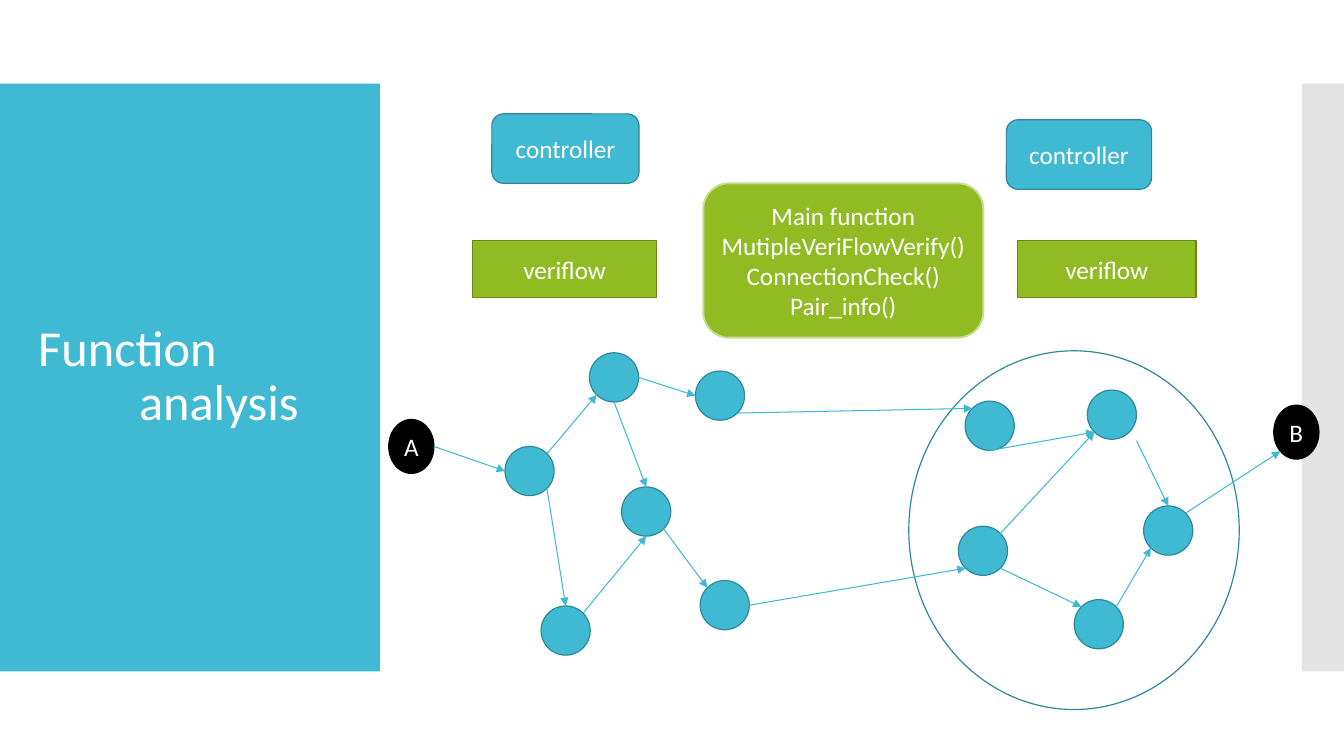
from dataclasses import dataclass
from enum import Enum
from math import sqrt
from typing import Any, Optional

import pptx
import pptx.dml.color
import pptx.enum.shapes
import pptx.enum.text
import pptx.oxml
import pptx.oxml.ns
import pptx.util

Cm = pptx.util.Cm
Pt = pptx.util.Pt
Preset = pptx.enum.shapes.MSO_SHAPE
Align = pptx.enum.text.PP_ALIGN
Anchor = pptx.enum.text.MSO_ANCHOR


@dataclass(frozen=True)
class Theme:
    font: str = "Calibri"
    title_size: float = 36
    label_size: float = 18
    outline: float = 0.85
    main_outline: float = 1.36
    arrow: float = 0.75
    white: str = "FFFFFF"
    black: str = "000000"
    teal: str = "40BAD2"
    dark_teal: str = "2E8899"
    green: str = "90BB23"
    dark_green: str = "698819"
    pale_green: str = "C7DD91"
    grey: str = "E4E4E4"


THEME = Theme()


@dataclass(frozen=True)
class Block:
    """A filled or outlined shape, measured in centimetres."""
    left: float
    top: float
    width: float
    height: float
    preset: Any
    fill: Optional[str] = None
    line: Optional[str] = None
    text: str = ""
    weight: float = THEME.outline


DIAGONAL = sqrt(0.5) / 2


class Site(Enum):
    """Where an arrow meets an ellipse, as fractions of its box."""
    TOP = (0.5, 0)
    TOP_LEFT = (0.5 - DIAGONAL, 0.5 - DIAGONAL)
    LEFT = (0, 0.5)
    BOTTOM_LEFT = (0.5 - DIAGONAL, 0.5 + DIAGONAL)
    BOTTOM = (0.5, 1)
    BOTTOM_RIGHT = (0.5 + DIAGONAL, 0.5 + DIAGONAL)
    RIGHT = (1, 0.5)
    TOP_RIGHT = (0.5 + DIAGONAL, 0.5 - DIAGONAL)
    BOX_CORNER = (1, 1.03)


@dataclass(frozen=True)
class Hop:
    source: str
    leave: Site
    target: str
    enter: Site


def switch(left: float, top: float) -> Block:
    return Block(left, top, 1.24, 1.24, Preset.OVAL, THEME.teal, THEME.dark_teal)


def host(left: float, top: float, name: str) -> Block:
    return Block(left, top, 1.14, 1.36, Preset.OVAL, THEME.black, THEME.black, name)


def controller(left: float, top: float, width: float) -> Block:
    return Block(left, top, width, 1.75, Preset.ROUNDED_RECTANGLE,
                 THEME.teal, THEME.dark_teal, "controller")


def verifier(left: float, width: float) -> Block:
    return Block(left, 6.07, width, 1.42, Preset.RECTANGLE,
                 THEME.green, THEME.dark_green, "veriflow")


PANELS = [
    Block(0, 2.11, 9.58, 14.81, Preset.RECTANGLE, THEME.teal),
    Block(32.82, 2.11, 1.06, 14.81, Preset.RECTANGLE, THEME.grey),
]
MAIN_FUNCTIONS = "Main function\nMutipleVeriFlowVerify()\nConnectionCheck()\nPair_info()"
COMPONENTS = [
    Block(17.73, 4.62, 7.06, 3.89, Preset.ROUNDED_RECTANGLE, THEME.green,
          THEME.pale_green, MAIN_FUNCTIONS, THEME.main_outline),
    controller(12.4, 2.87, 3.71),
    controller(25.37, 3.02, 3.66),
    verifier(11.91, 4.65),
    verifier(25.65, 4.5),
]
SWITCHES = {
    "entry": switch(12.73, 11.25),
    "upper exit": switch(17.53, 9.35),
    "upper": switch(14.86, 8.89),
    "middle": switch(15.67, 12.27),
    "lower exit": switch(17.65, 14.63),
    "lower": switch(13.64, 15.27),
    "domain upper": switch(24.33, 10.11),
    "domain top": switch(27.41, 9.83),
    "domain exit": switch(28.83, 12.75),
    "domain lower": switch(24.16, 13.26),
    "domain bottom": switch(27.08, 15.11),
}
DOMAIN = Block(22.91, 8.84, 8.33, 9.04, Preset.OVAL, line=THEME.dark_teal)
HOSTS = {"A": host(9.8, 10.57, "A"), "B": host(32.11, 10.21, "B")}
HOPS = [
    Hop("upper", Site.RIGHT, "upper exit", Site.LEFT),
    Hop("entry", Site.TOP_RIGHT, "upper", Site.BOTTOM_LEFT),
    Hop("upper exit", Site.BOTTOM_RIGHT, "domain upper", Site.TOP_LEFT),
    Hop("lower", Site.TOP_RIGHT, "middle", Site.BOTTOM),
    Hop("entry", Site.BOTTOM_RIGHT, "lower", Site.TOP),
    Hop("middle", Site.BOTTOM_RIGHT, "lower exit", Site.TOP_LEFT),
    Hop("upper", Site.BOTTOM, "middle", Site.TOP),
    Hop("lower exit", Site.RIGHT, "domain lower", Site.BOTTOM_LEFT),
    Hop("domain upper", Site.BOTTOM, "domain top", Site.BOTTOM_LEFT),
    Hop("domain top", Site.BOX_CORNER, "domain exit", Site.TOP),
    Hop("domain lower", Site.BOTTOM_RIGHT, "domain bottom", Site.TOP_LEFT),
    Hop("domain bottom", Site.TOP_RIGHT, "domain exit", Site.BOTTOM_LEFT),
    Hop("domain lower", Site.TOP_RIGHT, "domain top", Site.BOTTOM_LEFT),
    Hop("A", Site.RIGHT, "entry", Site.LEFT),
    Hop("domain exit", Site.TOP_RIGHT, "B", Site.BOTTOM_LEFT),
]


def rgb(colour: str) -> pptx.dml.color.RGBColor:
    return pptx.dml.color.RGBColor.from_string(colour)


def assign(target: Any, values: dict[str, Any]) -> None:
    for name, value in values.items():
        setattr(target, name, value)


def style_text(paragraph: Any, size: float, align: Any) -> None:
    paragraph.alignment = align
    assign(paragraph.font, {"name": THEME.font, "size": Pt(size)})
    paragraph.font.color.rgb = rgb(THEME.white)


def draw_block(slide: Any, block: Block) -> Any:
    shape = slide.shapes.add_shape(block.preset, Cm(block.left), Cm(block.top),
                                   Cm(block.width), Cm(block.height))
    shape.shadow.inherit = False
    for paint, colour in ((shape.fill, block.fill), (shape.line.fill, block.line)):
        if colour:
            paint.solid()
            paint.fore_color.rgb = rgb(colour)
        else:
            paint.background()
    if block.line:
        shape.line.width = Pt(block.weight)
    if block.text:
        frame = shape.text_frame
        assign(frame, {"text": block.text, "word_wrap": False,
                       "vertical_anchor": Anchor.MIDDLE})
        for paragraph in frame.paragraphs:
            style_text(paragraph, THEME.label_size, Align.CENTER)
    return shape


def site_point(block: Block, site: Site) -> tuple[int, int]:
    across, down = site.value
    return Cm(block.left + across * block.width), Cm(block.top + down * block.height)


def draw_hop(slide: Any, hop: Hop) -> None:
    nodes = SWITCHES | HOSTS
    arrow = slide.shapes.add_connector(
        pptx.enum.shapes.MSO_CONNECTOR.STRAIGHT,
        *site_point(nodes[hop.source], hop.leave),
        *site_point(nodes[hop.target], hop.enter))
    arrow.line.color.rgb = rgb(THEME.teal)
    arrow.line.width = Pt(THEME.arrow)
    namespace = pptx.oxml.ns.nsdecls("a")
    arrow.line._get_or_add_ln().append(
        pptx.oxml.parse_xml(f'<a:tailEnd {namespace} type="triangle"/>'))
    arrow._element.spPr.append(pptx.oxml.parse_xml(f"<a:effectLst {namespace}/>"))


def draw_title(slide: Any) -> None:
    title = slide.shapes.title
    assign(title, {"left": Cm(0.71), "top": Cm(3.12),
                   "width": Cm(7.19), "height": Cm(12.78)})
    assign(title.text_frame, {"text": "Function analysis", "word_wrap": True,
                              "auto_size": pptx.enum.text.MSO_AUTO_SIZE.NONE,
                              "vertical_anchor": Anchor.MIDDLE})
    heading = title.text_frame.paragraphs[0]
    hanging = Cm(2.54)
    properties = heading._p.get_or_add_pPr()
    properties.set("marL", str(hanging))
    properties.set("indent", str(-hanging))
    heading.line_spacing = 0.9
    style_text(heading, THEME.title_size, Align.LEFT)


def main() -> None:
    deck = pptx.Presentation()
    assign(deck, {"slide_width": Cm(33.88), "slide_height": Cm(19.05)})
    slide = deck.slides.add_slide(deck.slide_layouts[5])
    draw_title(slide)
    for panel in PANELS:
        slide.shapes.title._element.addprevious(draw_block(slide, panel)._element)
    for block in [*COMPONENTS, *SWITCHES.values(), DOMAIN, *HOSTS.values()]:
        draw_block(slide, block)
    for hop in HOPS:
        draw_hop(slide, hop)
    deck.save("out.pptx")


if __name__ == "__main__":
    main()
